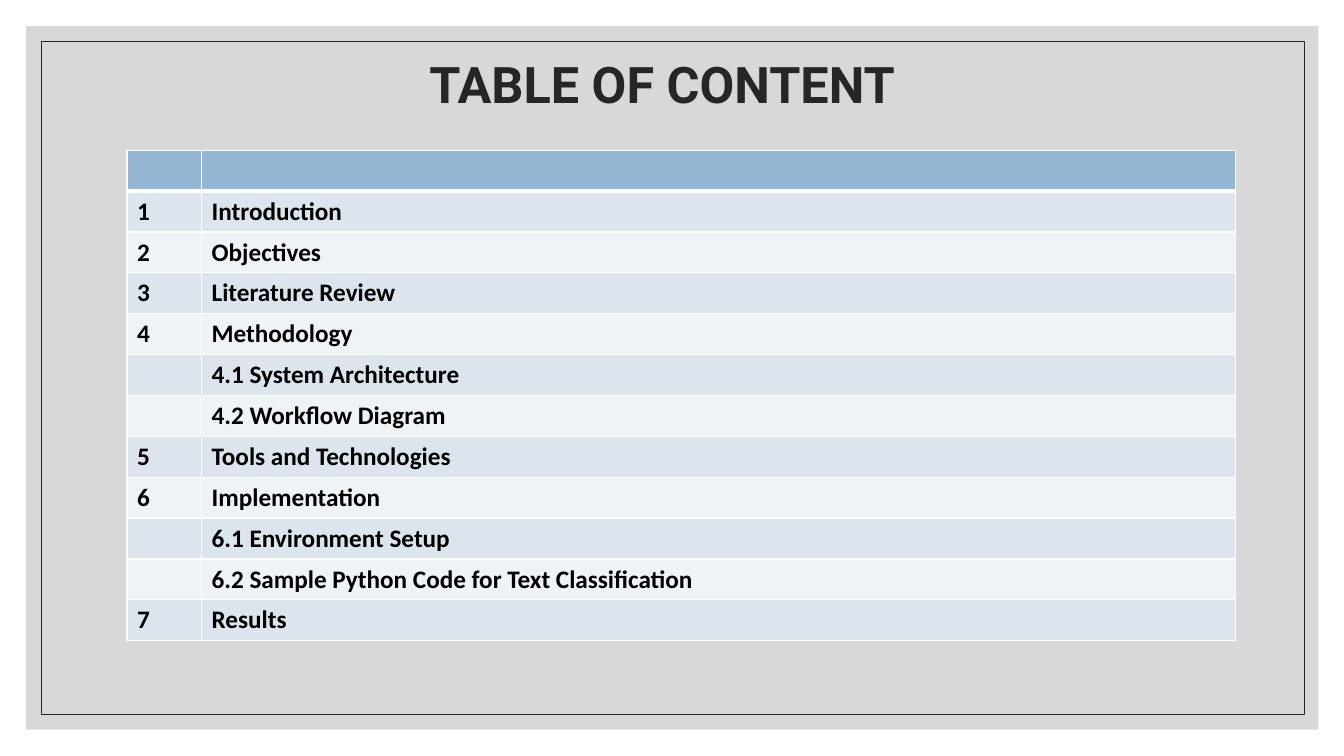
from dataclasses import dataclass

import pptx
import pptx.dml.color
import pptx.enum.shapes
import pptx.enum.text
import pptx.oxml
import pptx.oxml.ns
import pptx.util
from lxml import etree

Pt = pptx.util.Pt


@dataclass(frozen=True)
class Theme:
    backdrop: str = "BFBFBF"
    backdrop_opacity: int = 60
    ink: str = "262626"
    header: str = "94B6D2"
    bands: tuple = ("DCE5EE", "EEF3F7")
    grid: str = "FFFFFF"
    entry: str = "000000"
    title_font: str = "Roboto"
    entry_font: str = "Calibri"
    title_size: int = 36
    entry_size: int = 18


THEME = Theme()

CONTENTS = [
    ("", ""),
    ("1", "Introduction"),
    ("2", "Objectives"),
    ("3", "Literature Review"),
    ("4", "Methodology"),
    ("", "4.1 System Architecture"),
    ("", "4.2 Workflow Diagram"),
    ("5", "Tools and Technologies"),
    ("6", "Implementation"),
    ("", "6.1 Environment Setup"),
    ("", "6.2 Sample Python Code for Text Classification"),
    ("7", "Results"),
]


def rgb(color):
    return pptx.dml.color.RGBColor.from_string(color)


def style_font(font, name, size, color):
    font.name = name
    font.size = Pt(size)
    font.bold = True
    font.color.rgb = rgb(color)


def add_panel(slide, left, top, width, height):
    panel = slide.shapes.add_shape(
        pptx.enum.shapes.MSO_SHAPE.RECTANGLE, Pt(left), Pt(top), Pt(width), Pt(height)
    )
    panel.shadow.inherit = False
    return panel


def add_backdrop(slide):
    backdrop = add_panel(slide, 18.72, 18.72, 923.04, 502.56)
    backdrop.line.fill.background()
    backdrop.fill.solid()
    backdrop.fill.fore_color.rgb = rgb(THEME.backdrop)
    color = backdrop.fill._xPr.find(".//" + pptx.oxml.ns.qn("a:srgbClr"))
    alpha = etree.SubElement(color, pptx.oxml.ns.qn("a:alpha"))
    alpha.set("val", str(THEME.backdrop_opacity * 1000))


def add_frame(slide):
    frame = add_panel(slide, 29.52, 29.52, 902.4, 480.96)
    frame.fill.background()
    frame.line.color.rgb = rgb(THEME.ink)
    frame.line.width = Pt(0.5)


def add_title(slide, wording):
    title = slide.shapes.add_textbox(Pt(77.04), Pt(8.64), Pt(792), Pt(108))
    title.text_frame.word_wrap = True
    title.text_frame.vertical_anchor = pptx.enum.text.MSO_ANCHOR.MIDDLE
    title.text_frame.text = wording
    heading = title.text_frame.paragraphs[0]
    heading.alignment = pptx.enum.text.PP_ALIGN.CENTER
    heading.line_spacing = 0.9
    style_font(heading.runs[0].font, THEME.title_font, THEME.title_size, THEME.ink)


def set_borders(cell, widths):
    properties = cell._tc.get_or_add_tcPr()
    for side, width in widths.items():
        border = etree.SubElement(properties, pptx.oxml.ns.qn("a:ln" + side))
        border.set("w", str(Pt(width)))
        paint = etree.SubElement(border, pptx.oxml.ns.qn("a:solidFill"))
        etree.SubElement(paint, pptx.oxml.ns.qn("a:srgbClr")).set("val", THEME.grid)


def fill_cell(cell, wording, row):
    top = 3 if row == 1 else 1
    bottom = 3 if row == 0 else 1
    set_borders(cell, {"L": 1, "R": 1, "T": top, "B": bottom})
    cell.fill.solid()
    cell.fill.fore_color.rgb = rgb(THEME.bands[(row - 1) % 2] if row else THEME.header)
    cell.text_frame.text = wording
    entry = cell.text_frame.paragraphs[0]
    style_font(entry.font, THEME.entry_font, THEME.entry_size, THEME.entry)
    for run in entry.runs:
        style_font(run.font, THEME.entry_font, THEME.entry_size, THEME.entry)


def add_contents(slide, entries):
    row_height = 29.2
    contents = slide.shapes.add_table(
        len(entries), 2, Pt(90.72), Pt(107.28), Pt(792), Pt(row_height * len(entries))
    ).table
    for column, width in zip(contents.columns, (53.28, 738.72)):
        column.width = Pt(width)
    for row, entry in enumerate(entries):
        contents.rows[row].height = Pt(row_height)
        for column, wording in enumerate(entry):
            fill_cell(contents.cell(row, column), wording, row)


def main():
    deck = pptx.Presentation()
    deck.slide_width = Pt(960)
    deck.slide_height = Pt(540)
    slide = deck.slides.add_slide(deck.slide_layouts[6])
    add_backdrop(slide)
    add_frame(slide)
    add_title(slide, "TABLE OF CONTENT")
    add_contents(slide, CONTENTS)
    deck.save("out.pptx")


if __name__ == "__main__":
    main()
